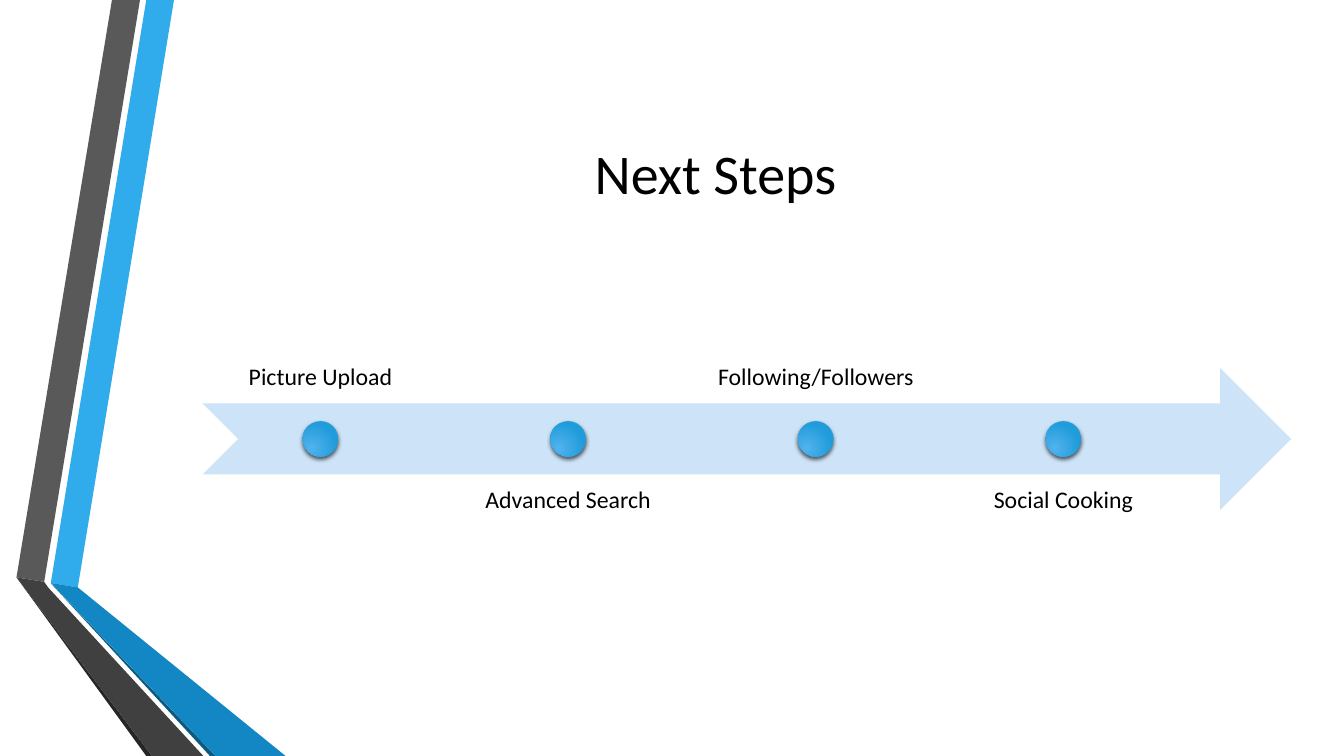
from lxml import etree
from pptx import Presentation
from pptx import util as u
from pptx.dml import color
from pptx.enum import shapes, text
from pptx.oxml import ns

Pt = u.Pt
COLORS = {
    "sky": "30ACEC", "gray": "595959", "black": "262626", "navy": "0C5A82",
    "blue": "1287C3", "charcoal": "404040", "arrow": "CDE3F8",
    "dot_light": "51B3ED", "dot_dark": "219CDB", "text": "000000",
}

prs = Presentation()
prs.slide_width, prs.slide_height = Pt(960), Pt(540)
s = prs.slides.add_slide(prs.slide_layouts[6])


def rgb(name):
    return color.RGBColor.from_string(COLORS[name])


def add_text(content, left, top, width, height, size, anchor, inset=7.2, spacing=1.0):
    tf = s.shapes.add_textbox(Pt(left), Pt(top), Pt(width), Pt(height)).text_frame
    tf.word_wrap = True
    tf.vertical_anchor = anchor
    tf.margin_left = tf.margin_right = tf.margin_top = tf.margin_bottom = Pt(inset)
    p = tf.paragraphs[0]
    p.alignment = text.PP_ALIGN.CENTER
    p.line_spacing = spacing
    r = p.add_run()
    r.text = content
    r.font.name, r.font.size = "Calibri", Pt(size)
    r.font.color.rgb = rgb("text")


# Folded ribbons on the left edge
ribbons = [
    ("sky", [(36.3, 416.4), (55.6, 419.6), (124.3, 0), (104.5, 0)]),
    ("gray", [(100, 0), (80, 0), (11.8, 412.4), (31.6, 415.6)]),
    ("black", [(11.8, 412.4), (104.5, 540), (108.6, 540)]),
    ("navy", [(36.3, 416.6), (150, 540), (154, 540)]),
    ("blue", [(36.3, 416.4), (154, 540), (204, 540), (55.6, 419.6)]),
    ("charcoal", [(145.3, 540), (34.6, 419.8), (31.6, 415.6), (11.8, 412.4), (108.6, 540)]),
]
for name, corners in ribbons:
    points = [(Pt(x), Pt(y)) for x, y in corners]
    builder = s.shapes.build_freeform(*points[0])
    builder.add_line_segments(points[1:], close=True)
    sp = builder.convert_to_shape()
    sp.shadow.inherit = False
    sp.fill.solid()
    sp.fill.fore_color.rgb = rgb(name)
    sp.line.fill.background()

# Title
add_text("Next Steps", 116.6, 54, 789, 138, 40, text.MSO_ANCHOR.MIDDLE)

# Timeline arrow
sp = s.shapes.add_shape(shapes.MSO_SHAPE.NOTCHED_RIGHT_ARROW,
                        Pt(144.7), Pt(262.8), Pt(777.6), Pt(101.5))
sp.shadow.inherit = False
sp.fill.solid()
sp.fill.fore_color.rgb = rgb("arrow")
sp.line.fill.background()

# Milestones: labels alternate above and below the arrow
LABEL_W, LABEL_H, DOT, STEP = 168.5, 101.5, 25.4, 176.9
steps = ["Picture Upload", "Advanced Search", "Following/Followers", "Social Cooking"]
for i, step in enumerate(steps):
    left = 144.7 + i * STEP
    above = i % 2 == 0
    add_text(step, left, 186.5 if above else 339, LABEL_W, LABEL_H, 17,
             text.MSO_ANCHOR.BOTTOM if above else text.MSO_ANCHOR.TOP,
             inset=9.4, spacing=0.9)

    sp = s.shapes.add_shape(shapes.MSO_SHAPE.OVAL, Pt(left + (LABEL_W - DOT) / 2),
                            Pt(300.8), Pt(DOT), Pt(DOT))
    sp.shadow.inherit = False
    sp.line.fill.background()

    # Radial gradient
    sp.fill.gradient()
    for stop, name in zip(sp.fill.gradient_stops, ("dot_light", "dot_dark")):
        stop.color.rgb = rgb(name)
    props = sp.element.spPr
    grad = props.find(ns.qn("a:gradFill"))
    grad.remove(grad.find(ns.qn("a:lin")))
    radial = etree.SubElement(grad, ns.qn("a:path"), {"path": "circle"})
    etree.SubElement(radial, ns.qn("a:fillToRect"),
                     {"l": "50000", "t": "100000", "r": "100000", "b": "50000"})

    # Soft drop shadow
    effects = props.find(ns.qn("a:effectLst"))
    shadow = etree.SubElement(effects, ns.qn("a:outerShdw"), {
        "blurRad": str(Pt(3)), "dist": str(Pt(2)), "dir": "5400000", "rotWithShape": "0"})
    shade = etree.SubElement(shadow, ns.qn("a:srgbClr"), {"val": COLORS["text"]})
    etree.SubElement(shade, ns.qn("a:alpha"), {"val": "64000"})

prs.save("out.pptx")
